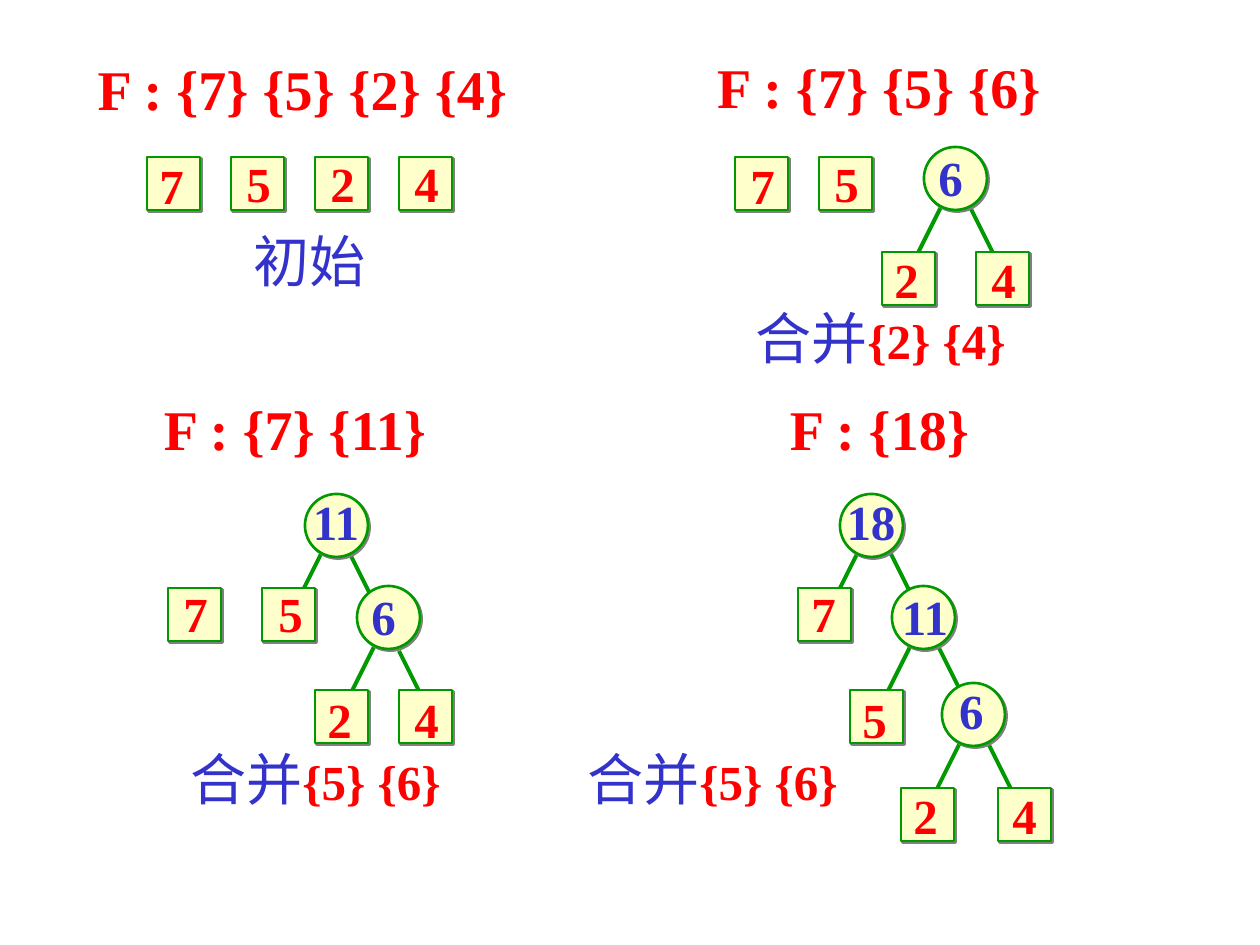
from lxml import etree
from pptx import Presentation
from pptx.dml.color import RGBColor
from pptx.enum.shapes import MSO_CONNECTOR as Connector, MSO_SHAPE as Shape
from pptx.enum.text import MSO_ANCHOR as Anchor, MSO_AUTO_SIZE as AutoSize, PP_ALIGN as Align
from pptx.oxml.ns import qn
from pptx.util import Pt

PIXEL = 914400 // 126
FONT = "Times New Roman"
RED = RGBColor(0xFF, 0x00, 0x00)
BLUE = RGBColor(0x33, 0x33, 0xCC)
GREEN = RGBColor(0x00, 0x99, 0x00)
CREAM = RGBColor(0xFF, 0xFF, 0xCC)
GREY = RGBColor(0x80, 0x80, 0x80)

LEAF_SIZE = 53
ROOT_SIZE = 63

HEADINGS = [
    (84, 48, 437, "F : {7} {5} {2} {4}"),
    (704, 46, 350, "F : {7} {5} {6}"),
    (149, 388, 306, "F : {7} {11} "),
    (776, 388, 221, "F : {18} "),
]

CAPTIONS = [
    (241, 220, 137, "初始", ""),
    (736, 297, 289, "合并", "{2} {4}"),
    (171, 738, 289, "合并", "{5} {6}"),
    (568, 738, 289, "合并", "{5} {6}"),
]

EDGES = [
    (945, 199, -1), (966, 199, 1),
    (325, 546, -1), (346, 546, 1),
    (378, 639, -1), (399, 651, 1),
    (861, 546, -1), (882, 536, 1),
    (914, 639, -1), (935, 640, 1),
    (964, 735, -1), (984, 735, 1),
]

LEAVES = [
    (147, 157, "7", 0, -8), (231, 157, "5", 3, -10),
    (315, 157, "2", 3, -10), (399, 157, "4", 3, -10),
    (735, 157, "7", 3, -8), (819, 157, "5", 3, -10),
    (882, 252, "2", 0, -9), (976, 252, "4", 3, -9),
    (168, 588, "7", 3, -11), (262, 588, "5", 4, -11),
    (315, 690, "2", 0, -7), (399, 690, "4", 3, -7),
    (798, 588, "7", 1, -11), (850, 690, "5", 0, -7),
    (901, 788, "2", 0, -9), (998, 788, "4", 2, -9),
]

ROOTS = [
    (924, 147, "6", 2, -6, 49),
    (357, 586, "6", -10, -6, 73),
    (305, 494, "11", -11, -9, 84),
    (892, 586, "11", -9, -6, 84),
    (840, 494, "18", -11, -9, 84),
    (942, 683, "6", -7, -9, 73),
]


def px(*lengths):
    return [round(length * PIXEL) for length in lengths]


def add_span(para, text, size, color, bold=True):
    span = para.add_run()
    span.text = text
    span.font.name = FONT
    span.font.size = Pt(size)
    span.font.bold = bold
    span.font.color.rgb = color


def add_text(page, left, top, width, height, spans, wrap=False):
    box = page.shapes.add_textbox(*px(left, top, width, height))
    frame = box.text_frame
    frame.word_wrap = wrap
    frame.auto_size = AutoSize.SHAPE_TO_FIT_TEXT
    frame.vertical_anchor = Anchor.MIDDLE
    para = frame.paragraphs[0]
    para.alignment = Align.CENTER
    for span in spans:
        add_span(para, *span)


def add_effects(shape):
    return etree.SubElement(shape._element.spPr, qn("a:effectLst"))


def add_edge(page, left, top, direction):
    ends = px(left, top, left + direction * 31.5, top + 63)
    edge = page.shapes.add_connector(Connector.STRAIGHT, *ends)
    edge.line.color.rgb = GREEN
    edge.line.width = Pt(2.24)
    add_effects(edge)


def add_node(page, kind, left, top, size):
    node = page.shapes.add_shape(kind, *px(left, top, size, size))
    node.fill.solid()
    node.fill.fore_color.rgb = CREAM
    node.line.color.rgb = GREEN
    node.line.width = Pt(1.5)
    shadow = etree.SubElement(
        add_effects(node), qn("a:outerShdw"),
        dist=str(Pt(1.4)), dir="2700000", algn="ctr", rotWithShape="0")
    etree.SubElement(shadow, qn("a:srgbClr"), val=str(GREY))


def add_label(page, left, top, width, text, color):
    add_text(page, left, top, width, 72, [(text, 28, color)], wrap=width > 49)


def add_caption(page, left, top, width, step, sets):
    spans = [(step, 32, BLUE, False)]
    if sets:
        spans.append((sets, 28, RED))
    add_text(page, left, top, width, 81, spans)


def main():
    deck = Presentation()
    deck.slide_width, deck.slide_height = px(1260, 945)
    page = deck.slides.add_slide(deck.slide_layouts[6])
    for edge in EDGES:
        add_edge(page, *edge)
    for left, top, text, shift_x, shift_y in LEAVES:
        add_node(page, Shape.RECTANGLE, left, top, LEAF_SIZE)
        add_label(page, left + shift_x, top + shift_y, 49, text, RED)
    for left, top, text, shift_x, shift_y, width in ROOTS:
        add_node(page, Shape.OVAL, left, top, ROOT_SIZE)
        add_label(page, left + shift_x, top + shift_y, width, text, BLUE)
    for left, top, width, text in HEADINGS:
        add_text(page, left, top, width, 81, [(text, 32, RED)])
    for caption in CAPTIONS:
        add_caption(page, *caption)
    deck.save("out.pptx")


main()
